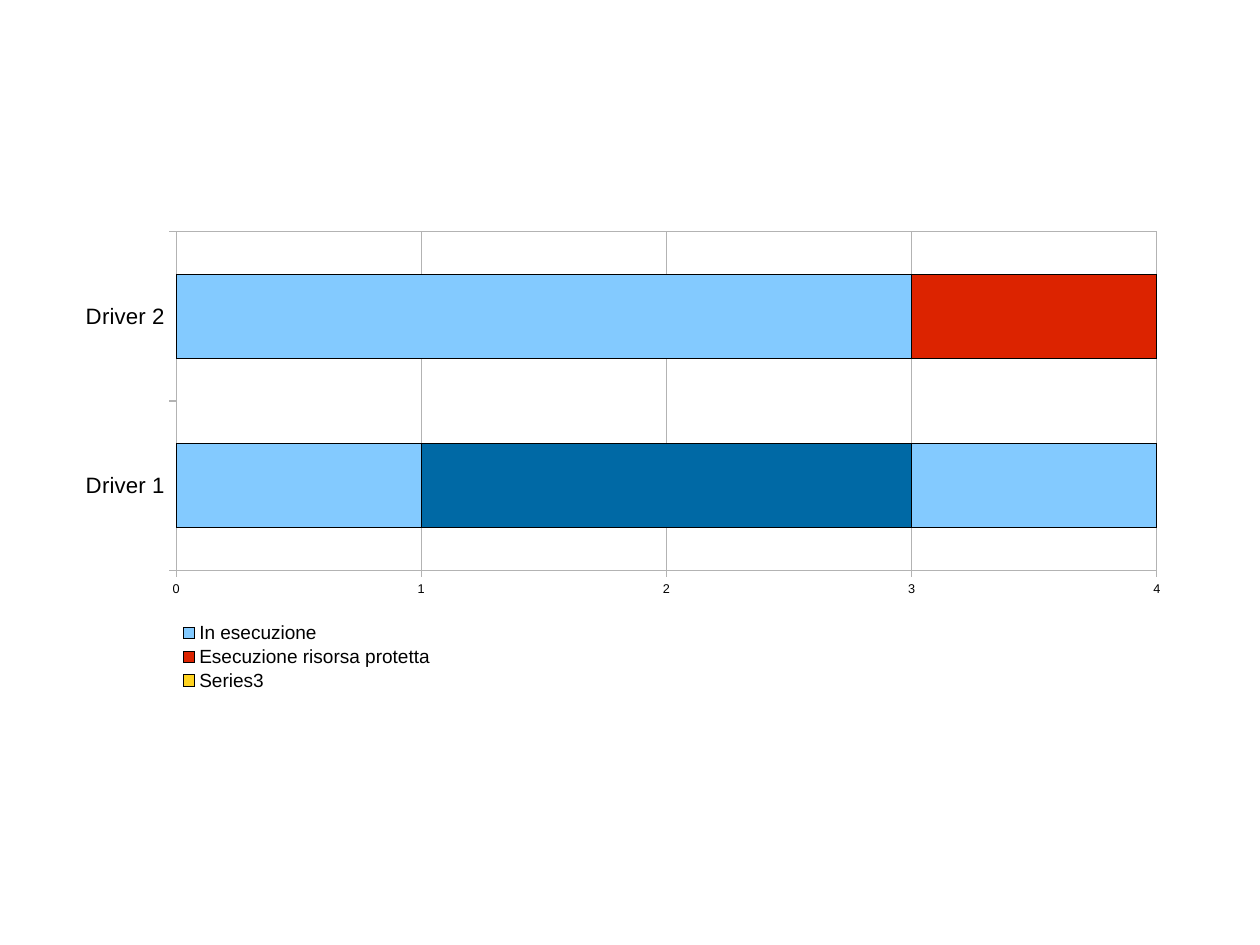
from pptx import Presentation
from pptx.chart.data import CategoryChartData
from pptx.dml.color import RGBColor
from pptx.enum.chart import XL_CHART_TYPE as Kind, XL_LEGEND_POSITION as LegendPos
from pptx.enum.chart import XL_TICK_MARK as Tick
from pptx.oxml import parse_xml
from pptx.oxml.ns import nsdecls
from pptx.util import Cm, Pt

COLORS = {
    "running": "83CAFF",
    "protected": "DC2300",
    "third": "FFD320",
    "dark": "0069A5",
    "grid": "B3B3B3",
    "black": "000000",
}
# Series name, values, colour, colours of single points
SERIES = [
    ("In esecuzione", (1, 3), "running", {}),
    ("Esecuzione risorsa protetta", (2, 1), "protected", {0: "dark"}),
    ("Series3", (1, 0), "third", {0: "running"}),
]


class Deck:
    def __init__(self, prs, font="Arial"):
        self.font = font
        self.s = prs.slides.add_slide(prs.slide_layouts[6])

    def color(self, name):
        return RGBColor.from_string(COLORS[name])

    def style_font(self, font, size):
        font.name = self.font
        font.size = Pt(size)
        font.color.rgb = self.color("black")

    def style_line(self, line, name):
        line.color.rgb = self.color(name)
        line.width = Pt(0)

    def style_bar(self, fmt, name):
        fmt.fill.solid()
        fmt.fill.fore_color.rgb = self.color(name)
        self.style_line(fmt.line, "black")

    def style_axis(self, axis, size):
        axis.major_tick_mark = Tick.OUTSIDE
        axis.minor_tick_mark = Tick.NONE
        self.style_font(axis.tick_labels.font, size)
        self.style_line(axis.format.line, "grid")

    def place(self, parent, index, x, y, w, h):
        """Fix the part's place as fractions of the chart area."""
        for old in parent.xpath("c:layout"):
            parent.remove(old)
        sizes = "".join(f'<c:{k} val="{v}"/>' for k, v in zip("xywh", (x, y, w, h)))
        parent.insert(index, parse_xml(
            f'<c:layout {nsdecls("c")}><c:manualLayout>'
            '<c:xMode val="edge"/><c:yMode val="edge"/>'
            f'{sizes}</c:manualLayout></c:layout>'))

    def bar_chart(self, categories, series, left, top, width, height):
        data = CategoryChartData()
        data.categories = categories
        for name, values, *_ in series:
            data.add_series(name, values)
        chart = self.s.shapes.add_chart(
            Kind.BAR_STACKED, Cm(left), Cm(top), Cm(width), Cm(height), data).chart
        chart.has_title = False
        self.style_font(chart.font, 10)

        # Bars
        plot = chart.plots[0]
        plot.gap_width, plot.overlap, plot.vary_by_categories = 100, 100, False
        for ser, (_, _, name, points) in zip(plot.series, series):
            ser.invert_if_negative = False
            self.style_bar(ser.format, name)
            for i, point_name in points.items():
                self.style_bar(ser.points[i].format, point_name)

        # Axes and grid
        self.style_axis(chart.category_axis, 14)
        axis = chart.value_axis
        self.style_axis(axis, 8)
        axis.minimum_scale, axis.maximum_scale, axis.major_unit = 0, 4, 1
        axis.has_major_gridlines = True
        self.style_line(axis.major_gridlines.format.line, "grid")

        # Plot area with a thin frame
        area = chart.element.xpath("c:chart/c:plotArea")[0]
        self.place(area, 0, 0.02, 0.02, 0.948, 0.732)
        area.append(parse_xml(
            f'<c:spPr {nsdecls("c", "a")}><a:noFill/><a:ln w="0"><a:solidFill>'
            f'<a:srgbClr val="{COLORS["grid"]}"/></a:solidFill></a:ln></c:spPr>'))

        # Legend
        chart.has_legend = True
        chart.legend.position = LegendPos.LEFT
        chart.legend.include_in_layout = False
        self.style_font(chart.legend.font, 12)
        self.place(chart.element.xpath("c:chart/c:legend")[0], 1, 0.09, 0.8, 0.25, 0.15)


def main():
    prs = Presentation()
    prs.slide_width, prs.slide_height = Cm(28), Cm(21)
    deck = Deck(prs)
    deck.bar_chart(("Driver 1", "Driver 2"), SERIES, 1.4, 4.93, 25.2, 11.05)
    prs.save("out.pptx")


if __name__ == "__main__":
    main()
